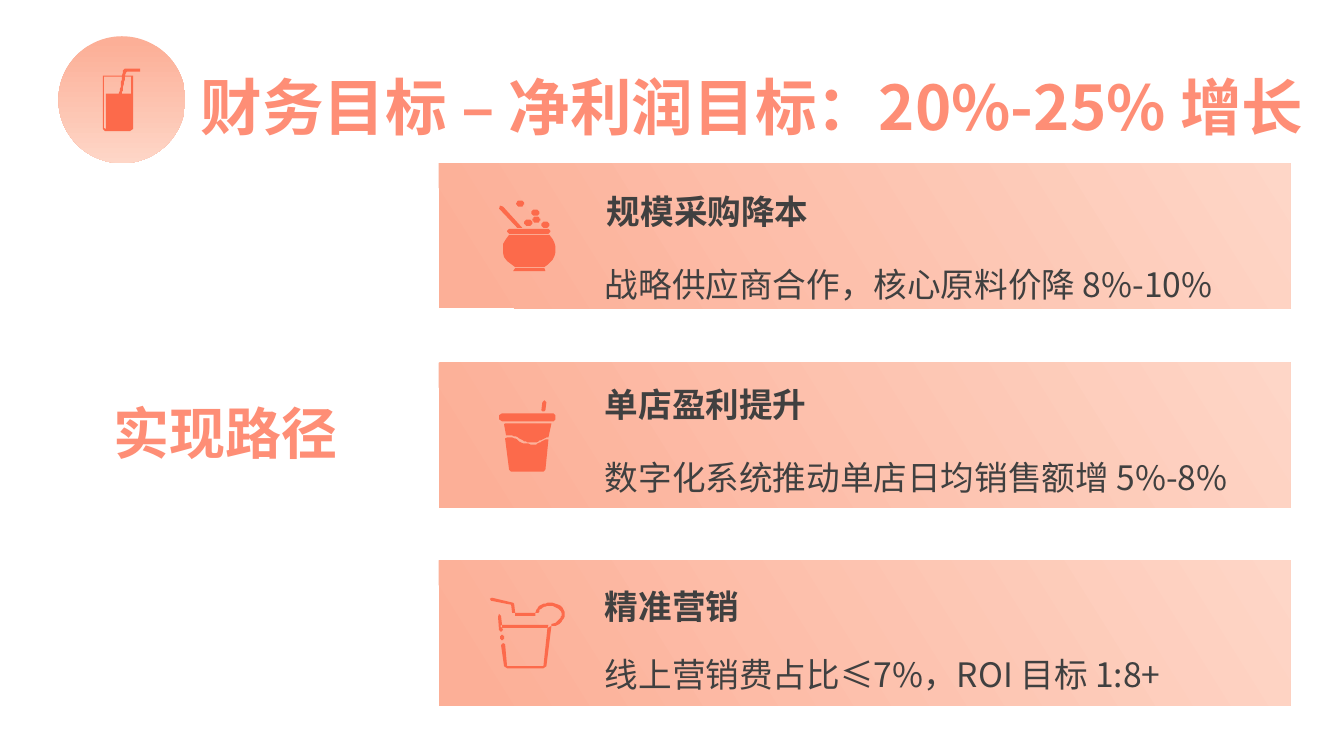
import math

import pptx
import pptx.dml.color
import pptx.enum.shapes
import pptx.enum.text
import pptx.oxml
import pptx.oxml.ns
import pptx.util

RGBColor = pptx.dml.color.RGBColor
Inches = pptx.util.Inches
WHITE = RGBColor(0xFF, 0xFF, 0xFF)
INK = RGBColor(0x40, 0x40, 0x40)
CORAL = RGBColor(0xFC, 0x6A, 0x4B)
CORAL_LIGHT = RGBColor(0xFE, 0x8E, 0x76)
PEACH = RGBColor(0xFC, 0xAF, 0x97)
PEACH_LIGHT = RGBColor(0xFE, 0xD6, 0xC7)
FONT = "Noto Sans CJK SC"
SLIDE_SIZE = (13.33, 7.5)
CURVE_STEPS = 8


def oval(center_x, center_y, radius_x, radius_y):
    angles = [math.tau * step / 24 for step in range(24)]
    return [(center_x + radius_x * math.cos(angle), center_y + radius_y * math.sin(angle))
            for angle in angles]


# Icon outlines use hundredths of an inch; six numbers give a Bezier curve.
POT = [
    [(16, 67), (45, 67), (46, 70), (14, 70)],
    [(10, 34), (50, 34), (60, 44, 58, 58, 45, 66), (16, 66), (3, 59, -1, 45, 10, 34)],
    [(12, 28), (48, 28), (52, 28, 52, 33, 48, 33), (12, 33), (7, 33, 7, 28, 12, 28)],
    [(1, 5), (4, 6), (23, 27), (18, 27), (0, 8)],
] + [oval(x, y, 4, 3) for x, y in [(46, 24), (29, 22), (37, 19), (36, 12), (21, 3)]]
CUP = [
    [(8, 37), (13, 37, 17, 38, 20, 41), (25, 44, 30, 43, 35, 44), (40, 44, 41, 39, 49, 39),
     (46, 69), (44, 71), (12, 71), (10, 69), (6, 38)],
    [(6, 23), (52, 23), (49, 37), (42, 37, 40, 42, 36, 42), (30, 42, 26, 42, 22, 39),
     (18, 36, 13, 34, 7, 35), (5, 24)],
    [(3, 13), (54, 13), (56, 15), (56, 19), (54, 21), (3, 21), (0, 19), (0, 15)],
    [(45, 0), (47, 2), (46, 10), (45, 11), (43, 11), (42, 10), (43, 2)],
]
LEMONADE = [
    [(2, 0), (23, 5), (24, 6), (25, 15), (22, 15), (21, 7), (1, 3), (0, 1)],
    [(25, 15), (45, 15), (45, 18), (25, 18)],
    [(8, 19), (9, 16), (11, 18), (12, 27), (10, 28), (12, 30), (13, 32), (11, 34), (9, 32)],
    [(12, 27), (58, 27), (57, 30), (12, 30)],
    oval(12, 39.5, 2, 2.5),
    [(61, 28), (56, 68), (53, 70), (17, 70), (14, 68), (11, 47), (13, 45), (15, 46),
     (17, 68), (53, 68), (57, 30), (59, 29)],
    [(59, 5), (68, 5, 74, 10, 74, 17), (74, 22, 70, 26, 65, 28), (61, 28), (61, 26),
     (65, 25), (68, 23, 71, 20, 71, 17), (71, 12, 66, 8, 59, 8), (54, 8, 49, 11, 48, 15),
     (45, 15), (46, 12), (48, 8, 53, 5, 59, 5)],
]
GLASS = [
    [(24, 3), (37, 3), (37, 0), (24, 0), (21, 0, 20, 2, 20, 4), (19, 7), (0, 7), (0, 60),
     (2, 62), (27, 62), (30, 60), (30, 7), (22, 7), (23, 4)],
    [(1, 8), (19, 8), (18, 15, 17, 22, 16, 25), (3, 25), (3, 60), (1, 59)],
    [(28, 8), (28, 25), (19, 25), (20, 21, 21, 15, 22, 8)],
]

TITLE = "财务目标 – 净利润目标：20%-25% 增长"
SIDE_LABEL = "实现路径"
CARD_LEFT, CARD_WIDTH, CARD_HEIGHT = 4.35, 8.45, 1.44
ICON_DROP = 0.37
CARDS = [
    dict(top=1.62, icon=POT, icon_left=4.95, heading="规模采购降本", heading_left=5.92,
         heading_drop=0.22, detail="战略供应商合作，核心原料价降 8%-10%", detail_drop=0.55),
    dict(top=3.6, icon=CUP, icon_left=4.95, heading="单店盈利提升", heading_left=5.9,
         heading_drop=0.16, detail="数字化系统推动单店日均销售额增 5%-8%", detail_drop=0.48),
    dict(top=5.56, icon=LEMONADE, icon_left=4.86, heading="精准营销", heading_left=5.9,
         heading_drop=0.2, detail="线上营销费占比≤7%，ROI 目标 1:8+", detail_drop=0.48),
]


def set_gradient(fill, colors, angle, start=0):
    fill.gradient()
    fill.gradient_angle = angle
    for stop, color, position in zip(fill.gradient_stops, colors, (start, 1)):
        stop.color.rgb = color
        stop.position = position


def write_text(shape, text, size=24, bold=False, color=INK, line_spacing=None, wrap=True):
    frame = shape.text_frame
    frame.word_wrap = wrap
    frame.auto_size = pptx.enum.text.MSO_AUTO_SIZE.NONE
    frame.vertical_anchor = pptx.enum.text.MSO_ANCHOR.TOP
    paragraph = frame.paragraphs[0]
    paragraph.alignment = pptx.enum.text.PP_ALIGN.LEFT
    if line_spacing:
        paragraph.line_spacing = line_spacing
    run = paragraph.add_run()
    run.text = text
    font = run.font
    font.size = pptx.util.Pt(size)
    font.bold = bold
    if isinstance(color, tuple) and not isinstance(color, RGBColor):
        set_gradient(font.fill, color, 144)
    else:
        font.color.rgb = color
    font.name = FONT
    east_asian = pptx.oxml.parse_xml(
        f'<a:ea {pptx.oxml.ns.nsdecls("a")} typeface="{FONT}"/>')
    run._r.get_or_add_rPr().append(east_asian)


def add_text(shapes, box, text, **text_format):
    write_text(shapes.add_textbox(*map(Inches, box)), text, **text_format)


def add_panel(shapes, kind, box, angle):
    panel = shapes.add_shape(kind, *map(Inches, box))
    panel.shadow.inherit = False
    panel.line.fill.background()
    set_gradient(panel.fill, (PEACH, PEACH_LIGHT), angle, start=0.04)


def flatten(contour):
    points = []
    for part in contour:
        if len(part) == 2:
            points.append(part)
            continue
        controls = [points[-1], part[:2], part[2:4], part[4:]]
        for step in range(1, CURVE_STEPS + 1):
            t = step / CURVE_STEPS
            weights = [math.comb(3, i) * t ** i * (1 - t) ** (3 - i) for i in range(4)]
            points.append(tuple(sum(w * point[axis] for w, point in zip(weights, controls))
                                for axis in (0, 1)))
    return points


def add_icon(shapes, contours, left, top):
    outlines = [flatten(contour) for contour in contours]
    builder = shapes.build_freeform(*outlines[0][0], scale=Inches(0.01))
    for index, points in enumerate(outlines):
        if index:
            builder.move_to(*points[0])
        builder.add_line_segments(points[1:], close=True)
    icon = builder.convert_to_shape(Inches(left), Inches(top))
    icon.shadow.inherit = False
    icon.fill.solid()
    icon.fill.fore_color.rgb = CORAL
    icon.line.fill.background()


def add_card(slide, card):
    shapes = slide.shapes.add_group_shape().shapes
    top = card["top"]
    add_panel(shapes, pptx.enum.shapes.MSO_SHAPE.RECTANGLE,
              (CARD_LEFT, top, CARD_WIDTH, CARD_HEIGHT), 32)
    add_icon(shapes, card["icon"], card["icon_left"], top + ICON_DROP)
    add_text(shapes, (card["heading_left"], top + card["heading_drop"], 2.31, 0.42),
             card["heading"], bold=True, wrap=False)
    add_text(shapes, (5.9, top + card["detail_drop"], 6.65, 0.67),
             card["detail"], line_spacing=2)


def main():
    presentation = pptx.Presentation()
    presentation.slide_width, presentation.slide_height = map(Inches, SLIDE_SIZE)
    slide = presentation.slides.add_slide(presentation.slide_layouts[5])
    slide.background.fill.solid()
    slide.background.fill.fore_color.rgb = WHITE
    for card in CARDS:
        add_card(slide, card)
    accent = (CORAL_LIGHT, CORAL)
    add_text(slide.shapes, (1.03, 3.9, 2.52, 0.77), SIDE_LABEL,
             size=40, bold=True, color=accent)
    title = slide.shapes.title
    title.left, title.top, title.width, title.height = map(Inches, (1.89, 0.63, 11.67, 0.84))
    write_text(title, TITLE, size=44, bold=True, color=accent)
    badge = slide.shapes.add_group_shape().shapes
    add_panel(badge, pptx.enum.shapes.MSO_SHAPE.OVAL, (0.58, 0.36, 1.26, 1.26), 270)
    add_icon(badge, GLASS, 1.02, 0.68)
    presentation.save("out.pptx")


if __name__ == "__main__":
    main()
